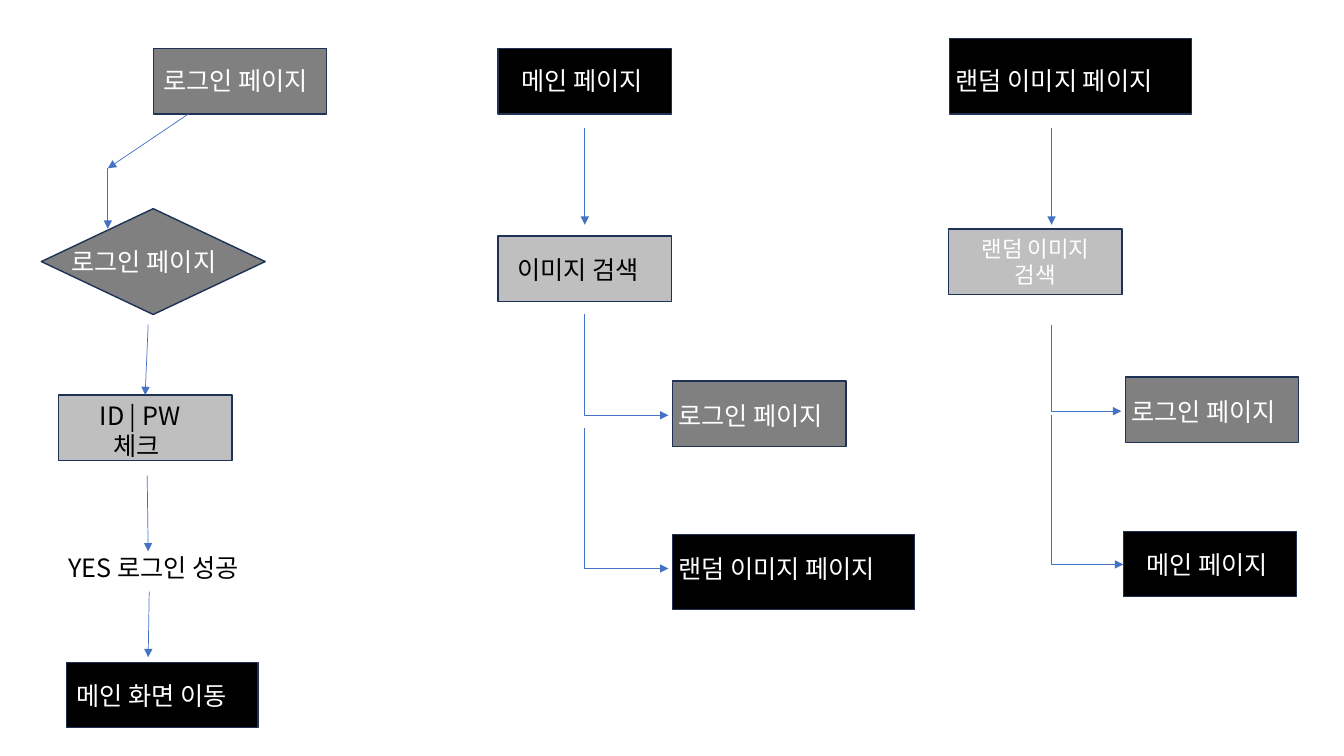
from pptx import Presentation
from pptx import util as u
from pptx.dml.color import RGBColor
from pptx.enum import shapes, text
from pptx.oxml.ns import qn
from lxml import etree

COLORS = {
    "login": "808080", "page": "000000", "check": "BFBFBF",
    "outline": "1E3256", "arrow": "4472C4",
    "light": "FFFFFF", "dark": "000000",
}
FONT = "Noto Sans CJK KR"
TILE = (1.72, 0.65)
WIDE = (2.4, 0.75)


def color(name):
    return RGBColor.from_string(COLORS[name])


def write(paragraph, words, size=18, ink="light", align=None, indent=0):
    """Put one formatted run into a paragraph."""
    run = paragraph.add_run()
    run.text = words
    run.font.size = u.Pt(size)
    run.font.name = FONT
    run.font.color.rgb = color(ink)
    etree.SubElement(run.font._element, qn("a:ea")).set("typeface", FONT)
    if align is not None:
        paragraph.alignment = align
    if indent:
        paragraph._p.get_or_add_pPr().set("marL", str(u.Inches(indent)))


class FlowSlide:
    def __init__(self, slide):
        self.shapes = slide.shapes

    def box(self, left, top, size, fill, kind=shapes.MSO_SHAPE.RECTANGLE):
        tile = self.shapes.add_shape(kind, *map(u.Inches, (left, top, *size)))
        tile.shadow.inherit = False
        tile.fill.solid()
        tile.fill.fore_color.rgb = color(fill)
        tile.line.color.rgb = color("outline")
        tile.line.width = u.Pt(1)
        return tile

    def label(self, left, top, width, lines, ink="light", wrap=False, indents=(0, 0)):
        height = 0.4 if len(lines) == 1 else 0.71
        frame = self.shapes.add_textbox(*map(u.Inches, (left, top, width, height))).text_frame
        frame.word_wrap = wrap
        frame.auto_size = text.MSO_AUTO_SIZE.SHAPE_TO_FIT_TEXT
        for number, (line, indent) in enumerate(zip(lines, indents)):
            paragraph = frame.add_paragraph() if number else frame.paragraphs[0]
            write(paragraph, line, ink=ink, indent=indent)

    def arrow(self, x1, y1, x2, y2, kind=shapes.MSO_CONNECTOR.STRAIGHT):
        link = self.shapes.add_connector(kind, *map(u.Inches, (x1, y1, x2, y2)))
        link.line.color.rgb = color("arrow")
        link.line.width = u.Pt(0.5)
        etree.SubElement(link.line._get_or_add_ln(), qn("a:tailEnd")).set("type", "triangle")
        etree.SubElement(link._element.spPr, qn("a:effectLst"))
        return link

    def corner_arrow(self, x1, y1, x2, y2):
        """Go down, then right: a one-bend connector turned by 270 degrees."""
        mid_x, mid_y = (x1 + x2) / 2, (y1 + y2) / 2
        half_w, half_h = (y2 - y1) / 2, (x2 - x1) / 2
        link = self.arrow(mid_x + half_w, mid_y - half_h, mid_x - half_w, mid_y + half_h,
                          shapes.MSO_CONNECTOR.ELBOW)
        properties = link._element.spPr
        properties.find(qn("a:prstGeom")).set("prst", "bentConnector2")
        properties.find(qn("a:xfrm")).set("rot", str(270 * 60000))


def main():
    deck = Presentation()
    deck.slide_width, deck.slide_height = u.Inches(13.33), u.Inches(7.5)
    flow = FlowSlide(deck.slides.add_slide(deck.slide_layouts[6]))

    # Boxes: login, main page and random image columns
    for left, top, size, fill in [
        (1.52, 0.48, TILE, "login"), (0.58, 3.92, TILE, "check"),
        (0.66, 6.57, (1.9, 0.65), "page"),
        (4.94, 0.48, TILE, "page"), (4.94, 2.34, TILE, "check"),
        (6.67, 3.78, TILE, "login"), (6.67, 5.3, WIDE, "page"),
        (9.42, 0.38, WIDE, "page"), (11.16, 3.74, TILE, "login"),
        (11.14, 5.27, TILE, "page"),
    ]:
        flow.box(left, top, size, fill)
    flow.box(0.41, 2.07, (2.22, 1.05), "login", shapes.MSO_SHAPE.DIAMOND)

    # Box with its own wrapped text
    random_search = flow.box(9.41, 2.27, TILE, "check").text_frame
    random_search.word_wrap = True
    random_search.vertical_anchor = text.MSO_ANCHOR.MIDDLE
    write(random_search.paragraphs[0], "랜덤 이미지 검색", size=16, align=text.PP_ALIGN.CENTER)

    # Labels that recur across the columns
    for words, width, places in [
        ("로그인 페이지", 1.81, [(1.52, 0.6), (0.61, 2.39), (6.63, 3.92), (11.12, 3.88)]),
        ("메인 페이지", 1.55, [(5.07, 0.6), (11.27, 5.4)]),
        ("랜덤 이미지 페이지", 2.4, [(6.63, 5.44), (9.38, 0.6)]),
        ("메인 화면 이동", 1.9, [(0.66, 6.7)]),
    ]:
        for left, top in places:
            flow.label(left, top, width, [words])

    # Dark labels
    flow.label(0.89, 3.92, 1.1, ["ID | PW", "체크"], ink="dark", wrap=True, indents=(0, 0.14))
    flow.label(0.58, 5.43, 2.05, ["YES 로그인 성공"], ink="dark")
    flow.label(5.03, 2.47, 1.55, ["이미지 검색"], ink="dark")

    # Straight arrows
    for ends in [
        (1.87, 1.13, 1.07, 1.67), (1.07, 1.67, 1.07, 2.27),
        (1.47, 3.22, 1.44, 3.92), (1.46, 4.72, 1.47, 5.47),
        (1.48, 5.87, 1.47, 6.52),
        (5.8, 1.27, 5.8, 2.23), (10.43, 1.27, 10.43, 2.23),
    ]:
        flow.arrow(*ends)

    # Branches to the next pages
    for ends in [
        (5.8, 3.12, 6.63, 4.12), (5.8, 4.25, 6.63, 5.64),
        (10.43, 3.22, 11.12, 4.08), (10.43, 4.12, 11.14, 5.6),
    ]:
        flow.corner_arrow(*ends)

    deck.save("out.pptx")


if __name__ == "__main__":
    main()
